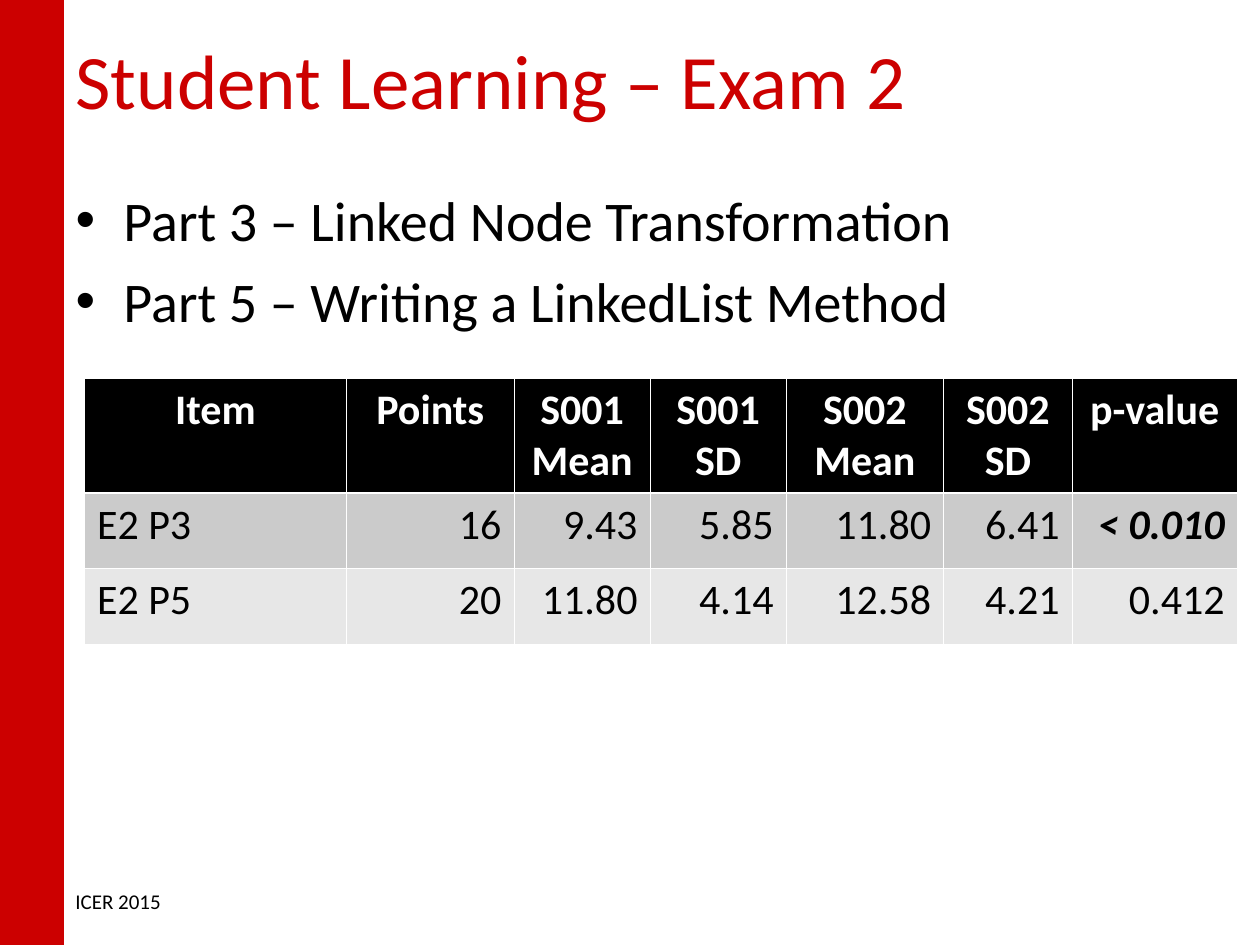
from dataclasses import dataclass

from lxml.etree import SubElement
from pptx import Presentation
from pptx.dml.color import RGBColor
from pptx.enum.shapes import MSO_SHAPE
from pptx.enum.text import MSO_ANCHOR, MSO_AUTO_SIZE, PP_ALIGN
from pptx.oxml import parse_xml
from pptx.oxml.ns import nsdecls, qn
from pptx.util import Inches, Pt

TITLE = "Student Learning – Exam 2"
TOPICS = ["Part 3 – Linked Node Transformation", "Part 5 – Writing a LinkedList Method"]
FOOTER = "ICER 2015"
RESULTS = [
    ("Item", "Points", "S001 Mean", "S001 SD", "S002 Mean", "S002 SD", "p-value"),
    ("E2 P3", "16", "9.43", "5.85", "11.80", "6.41", "< 0.010"),
    ("E2 P5", "20", "11.80", "4.14", "12.58", "4.21", "0.412"),
]
SIGNIFICANT = {"< 0.010"}
COLUMN_WIDTHS = [2.08, 1.33, 1.08, 1.08, 1.25, 1.02, 1.31]
ROW_HEIGHTS = [0.9, 0.6, 0.6]


@dataclass(frozen=True)
class Theme:
    font: str = "Calibri"
    accent: str = "CC0000"
    ink: str = "000000"
    paper: str = "FFFFFF"
    row_fills: tuple = ("000000", "CBCBCB", "E7E7E7")
    title_size: int = 44
    topic_size: int = 32
    table_size: int = 24
    footer_size: int = 12
    thin: float = 0.45
    thick: float = 1.47


THEME = Theme()


def rgb(value):
    return RGBColor.from_string(value)


def write(paragraph, text, size, color=THEME.ink, align=PP_ALIGN.LEFT, bold=False, italic=False):
    run = paragraph.add_run()
    run.text = text
    run.font.name = THEME.font
    run.font.size = Pt(size)
    run.font.color.rgb = rgb(color)
    run.font.bold = bold
    run.font.italic = italic
    paragraph.alignment = align


def place(shape, left, top, width, height, anchor=MSO_ANCHOR.TOP):
    shape.left, shape.top = Inches(left), Inches(top)
    shape.width, shape.height = Inches(width), Inches(height)
    frame = shape.text_frame
    frame.word_wrap = True
    frame.auto_size = MSO_AUTO_SIZE.NONE
    frame.vertical_anchor = anchor
    return frame


def add_bullet(paragraph):
    paragraph.space_before = Pt(8)
    properties = paragraph._p.get_or_add_pPr()
    properties.set("marL", str(Inches(0.38)))
    properties.set("indent", str(-Inches(0.38)))
    bullet_color = SubElement(properties, qn("a:buClr"))
    SubElement(bullet_color, qn("a:srgbClr"), val=THEME.ink)
    SubElement(properties, qn("a:buChar"), char="•")


def set_borders(cell, top, bottom):
    properties = cell._tc.get_or_add_tcPr()
    widths = {"L": THEME.thin, "R": THEME.thin, "T": top, "B": bottom}
    for position, (side, width) in enumerate(widths.items()):
        properties.insert(position, parse_xml(
            f'<a:ln{side} {nsdecls("a")} w="{Pt(width)}"><a:solidFill>'
            f'<a:srgbClr val="{THEME.paper}"/></a:solidFill></a:ln{side}>'))


def add_side_band(slide):
    band = slide.shapes.add_shape(MSO_SHAPE.RECTANGLE, 0, 0, Inches(0.5), Inches(7.5))
    band.shadow.inherit = False
    band.fill.solid()
    band.fill.fore_color.rgb = rgb(THEME.accent)
    band.line.color.rgb = rgb(THEME.accent)
    band.line.width = Pt(0.75)
    slide.shapes._spTree.insert(2, band._element)


def add_results(slide):
    table = slide.shapes.add_table(
        len(RESULTS), len(COLUMN_WIDTHS), Inches(0.67), Inches(3),
        Inches(sum(COLUMN_WIDTHS)), Inches(sum(ROW_HEIGHTS))).table
    for column, width in zip(table.columns, COLUMN_WIDTHS):
        column.width = Inches(width)
    for r, (values, height, fill) in enumerate(zip(RESULTS, ROW_HEIGHTS, THEME.row_fills)):
        table.rows[r].height = Inches(height)
        header = r == 0
        for c, value in enumerate(values):
            cell = table.cell(r, c)
            cell.fill.solid()
            cell.fill.fore_color.rgb = rgb(fill)
            set_borders(cell, THEME.thick if r == 1 else THEME.thin,
                        THEME.thick if header else THEME.thin)
            body_align = PP_ALIGN.LEFT if c == 0 else PP_ALIGN.RIGHT
            write(cell.text_frame.paragraphs[0], value, THEME.table_size,
                  color=THEME.paper if header else THEME.ink,
                  align=PP_ALIGN.CENTER if header else body_align,
                  bold=header or value in SIGNIFICANT, italic=value in SIGNIFICANT)


def main():
    deck = Presentation()
    deck.slide_width, deck.slide_height = Inches(10), Inches(7.5)
    slide = deck.slides.add_slide(deck.slide_layouts[1])
    add_side_band(slide)

    title = place(slide.shapes.title, 0.5, 0, 9.5, 1.25, MSO_ANCHOR.MIDDLE)
    write(title.paragraphs[0], TITLE, THEME.title_size, color=THEME.accent)

    topics = place(slide.placeholders[1], 0.5, 1.42, 9.5, 5.08)
    for i, topic in enumerate(TOPICS):
        paragraph = topics.add_paragraph() if i else topics.paragraphs[0]
        write(paragraph, topic, THEME.topic_size)
        add_bullet(paragraph)

    footer = place(slide.shapes.add_textbox(0, 0, 0, 0), 0.5, 7, 7.25, 0.5)
    write(footer.paragraphs[0], FOOTER, THEME.footer_size)
    add_results(slide)
    deck.save("out.pptx")


if __name__ == "__main__":
    main()
